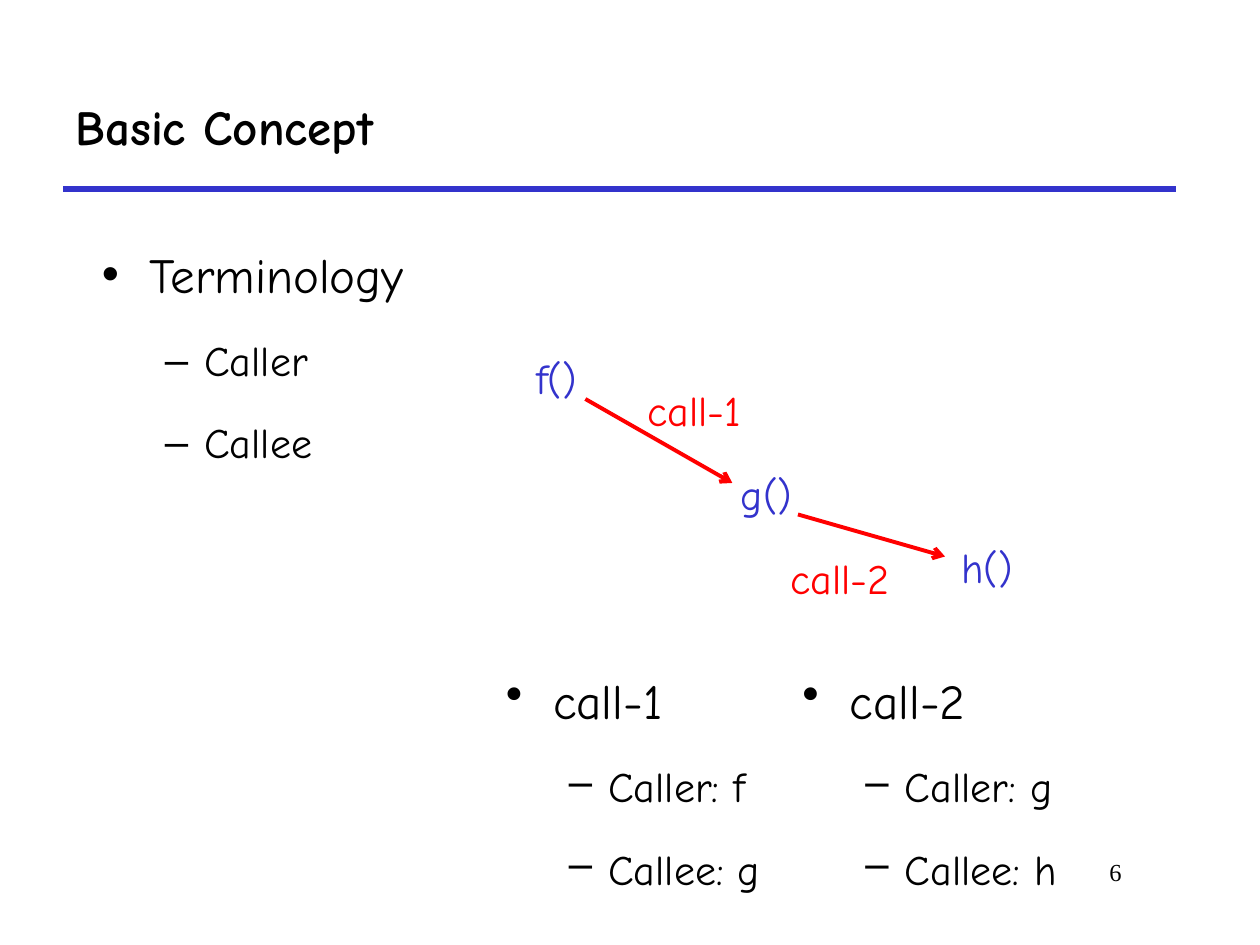
"""Build the Basic Concept slide on callers and callees."""
from lxml.etree import SubElement
from pptx import Presentation
from pptx.dml.color import RGBColor
from pptx.enum.shapes import MSO_CONNECTOR
from pptx.enum.text import MSO_ANCHOR, MSO_AUTO_SIZE, PP_ALIGN
from pptx.oxml.ns import qn
from pptx.util import Pt

THEME = {
    "font": "Comic Neue", "serif": "Times New Roman",
    "ink": "000000", "blue": "3333CC", "red": "FF0000",
    "head": 28, "text": 24, "note": 14, "rule": 3, "arrow": 2.25,
}
TITLE = ("Basic Concept", (36, 36, 636, 72))
MAIN = (["Terminology", "Caller", "Callee"], (51, 122.4, 642, 366))
LISTS = [
    (["call-1", "Caller: f", "Callee: g"], (282, 366, 196.5, 144)),
    (["call-2", "Caller: g", "Callee: h"], (451.5, 366, 196.5, 144)),
]
LABELS = [
    ("f()", "blue", (294, 198, 48, 36.5)),
    ("g()", "blue", (414, 264, 48, 36.5)),
    ("h()", "blue", (540, 306, 48, 36.5)),
    ("call-1", "red", (342, 216, 109.5, 36.5)),
    ("call-2", "red", (426, 312, 108, 36.5)),
]
RULE = (36, 108, 672, 108)
ARROWS = [(334.5, 228, 418.5, 276), (456, 294, 540, 318)]
PAGE = ("6", (546, 486, 102, 36))
LEVELS = [("•", 27, -27, "head"), ("–", 58.5, -22.5, "text")]


def place(shape, box):
    shape.left, shape.top, shape.width, shape.height = map(Pt, box)
    return shape


def write(par, text, size="text", color="ink", face="font", bold=False,
          align=PP_ALIGN.LEFT):
    par.alignment = align
    run = par.add_run()
    run.text = text
    font = run.font
    font.name, font.size, font.bold = THEME[face], Pt(THEME[size]), bold
    font.color.rgb = RGBColor.from_string(THEME[color])


def fill_list(shape, items):
    frame = shape.text_frame
    frame.word_wrap = True
    frame.auto_size = MSO_AUTO_SIZE.NONE
    for num, text in enumerate(items):
        par = frame.add_paragraph() if num else frame.paragraphs[0]
        par.level = min(num, 1)
        mark, left, hang, size = LEVELS[par.level]
        props = par._p.get_or_add_pPr()
        props.set("marL", str(Pt(left)))
        props.set("indent", str(Pt(hang)))
        SubElement(props, qn("a:buChar")).set("char", mark)
        par.line_spacing = 1.4
        par.space_before = Pt(6.7 if num else 0)
        write(par, text, size=size)


def draw_line(slide, ends, color, width, arrow=False):
    line = slide.shapes.add_connector(MSO_CONNECTOR.STRAIGHT, *map(Pt, ends))
    line.line.color.rgb = RGBColor.from_string(THEME[color])
    line.line.width = Pt(THEME[width])
    if arrow:
        SubElement(line.line._get_or_add_ln(), qn("a:tailEnd")).set("type", "arrow")
    SubElement(line._element.spPr, qn("a:effectLst"))


def add_box(slide, box):
    return slide.shapes.add_textbox(*map(Pt, box))


def main():
    deck = Presentation()
    deck.slide_width, deck.slide_height = Pt(720), Pt(540)
    slide = deck.slides.add_slide(deck.slide_layouts[1])
    draw_line(slide, RULE, "blue", "rule")

    text, box = TITLE
    frame = place(slide.shapes.title, box).text_frame
    frame.vertical_anchor = MSO_ANCHOR.MIDDLE
    frame.auto_size = MSO_AUTO_SIZE.NONE
    write(frame.paragraphs[0], text, size="head", bold=True)

    items, box = MAIN
    fill_list(place(slide.placeholders[1], box), items)
    for items, box in LISTS:
        fill_list(add_box(slide, box), items)

    for text, color, box in LABELS:
        frame = add_box(slide, box).text_frame
        frame.word_wrap = True
        frame.auto_size = MSO_AUTO_SIZE.SHAPE_TO_FIT_TEXT
        write(frame.paragraphs[0], text, color=color, align=PP_ALIGN.CENTER)
    for ends in ARROWS:
        draw_line(slide, ends, "red", "arrow", arrow=True)

    text, box = PAGE
    frame = add_box(slide, box).text_frame
    frame.word_wrap = True
    write(frame.paragraphs[0], text, size="note", face="serif",
          align=PP_ALIGN.RIGHT)
    deck.save("out.pptx")


if __name__ == "__main__":
    main()
